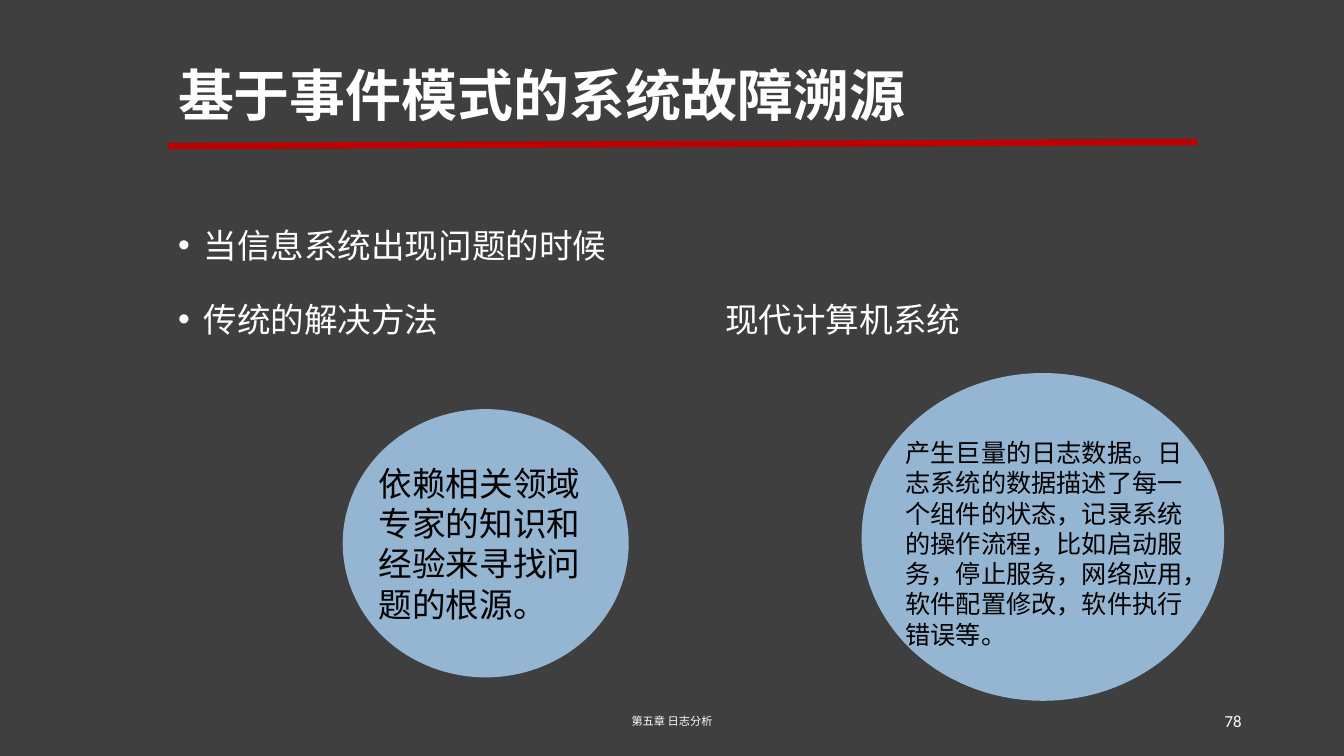
import pptx
import pptx.util
import pptx.dml.color
import pptx.enum.shapes
import pptx.enum.text
import pptx.oxml
import pptx.oxml.ns

Cm = pptx.util.Cm
Pt = pptx.util.Pt
ALIGN = pptx.enum.text.PP_ALIGN
ANCHOR = pptx.enum.text.MSO_ANCHOR

COLOURS = {
    "background": "3F3F3F",
    "rule": "C00000",
    "circle": "94B6D2",
    "light": "FFFFFF",
    "dark": "000000",
}
CJK = "Noto Sans CJK SC"
LATIN = "Calibri"


def colour(name):
    return pptx.dml.color.RGBColor.from_string(COLOURS[name])


def apply_format(target, values):
    for name, value in values.items():
        setattr(target, name, value)


def add_bullet(para, column):
    properties = para._p.get_or_add_pPr()
    properties.set("marL", str(Cm(0.64)))
    properties.set("indent", str(-Cm(0.64)))
    namespace = pptx.oxml.ns.nsdecls("a")
    for xml in (
        f'<a:buClr {namespace}><a:srgbClr val="{COLOURS["light"]}"/></a:buClr>',
        f'<a:buFont {namespace} typeface="Arial"/>',
        f'<a:buChar {namespace} char="•"/>',
        f'<a:tabLst {namespace}><a:tab pos="{column}" algn="l"/></a:tabLst>',
    ):
        properties.append(pptx.oxml.parse_xml(xml))


def add_text(page, place, lines, size, font, tone="light", bold=False,
             anchor=ANCHOR.TOP, column=None, **para_format):
    box = page.shapes.add_textbox(*map(Cm, place))
    frame = box.text_frame
    apply_format(frame, {"word_wrap": True, "vertical_anchor": anchor})
    for index, line in enumerate(lines):
        para = frame.add_paragraph() if index else frame.paragraphs[0]
        if column:
            add_bullet(para, Cm(column))
        apply_format(para, para_format)
        if index:
            para.space_before = Pt(10)
        span = para.add_run()
        span.text = line
        apply_format(span.font, {"size": Pt(size), "name": font, "bold": bold})
        span.font.color.rgb = colour(tone)


def add_circle(page, place):
    circle = page.shapes.add_shape(
        pptx.enum.shapes.MSO_SHAPE.OVAL, *map(Cm, place))
    circle.shadow.inherit = False
    circle.fill.solid()
    circle.fill.fore_color.rgb = colour("circle")
    circle.line.fill.background()


def add_rule(page, ends):
    rule = page.shapes.add_connector(
        pptx.enum.shapes.MSO_CONNECTOR.STRAIGHT, *map(Cm, ends))
    rule.line.color.rgb = colour("rule")
    rule.line.width = Pt(4.5)
    effects = f'<a:effectLst {pptx.oxml.ns.nsdecls("a")}/>'
    rule._element.spPr.append(pptx.oxml.parse_xml(effects))


def main():
    deck = pptx.Presentation()
    apply_format(deck, {"slide_width": Cm(33.88), "slide_height": Cm(19.05)})
    page = deck.slides.add_slide(deck.slide_layouts[6])
    page.background.fill.solid()
    page.background.fill.fore_color.rgb = colour("background")

    add_rule(page, (4.24, 3.68, 30.18, 3.58))
    add_text(page, (4.24, 0.64, 25.93, 3.68), ["基于事件模式的系统故障溯源"],
             40, CJK, bold=True, anchor=ANCHOR.MIDDLE, line_spacing=0.9)
    add_text(page, (4.24, 5.03, 25.93, 12.09),
             ["当信息系统出现问题的时候", "传统的解决方法\t现代计算机系统"],
             24, CJK, column=13.79, line_spacing=1.5)
    add_text(page, (11.23, 17.65, 11.43, 1.02), ["第五章 日志分析"],
             8, CJK, anchor=ANCHOR.MIDDLE, alignment=ALIGN.CENTER)
    add_text(page, (23.93, 17.65, 7.62, 1.02), ["78"],
             12, LATIN, anchor=ANCHOR.MIDDLE, alignment=ALIGN.RIGHT)

    add_circle(page, (21.72, 9.4, 9.14, 8.26))
    add_circle(page, (8.64, 10.31, 7.21, 6.76))
    add_text(page, (9.3, 11.53, 5.89, 4.32),
             ["依赖相关领域专家的知识和经验来寻找问题的根源。"],
             24, LATIN, "dark")
    add_text(page, (22.58, 10.9, 7.95, 5.59),
             ["产生巨量的日志数据。日志系统的数据描述了每一个组件的状态，"
              "记录系统的操作流程，比如启动服务，停止服务，网络应用，"
              "软件配置修改，软件执行错误等。"],
             18, LATIN, "dark")
    deck.save("out.pptx")


if __name__ == "__main__":
    main()
